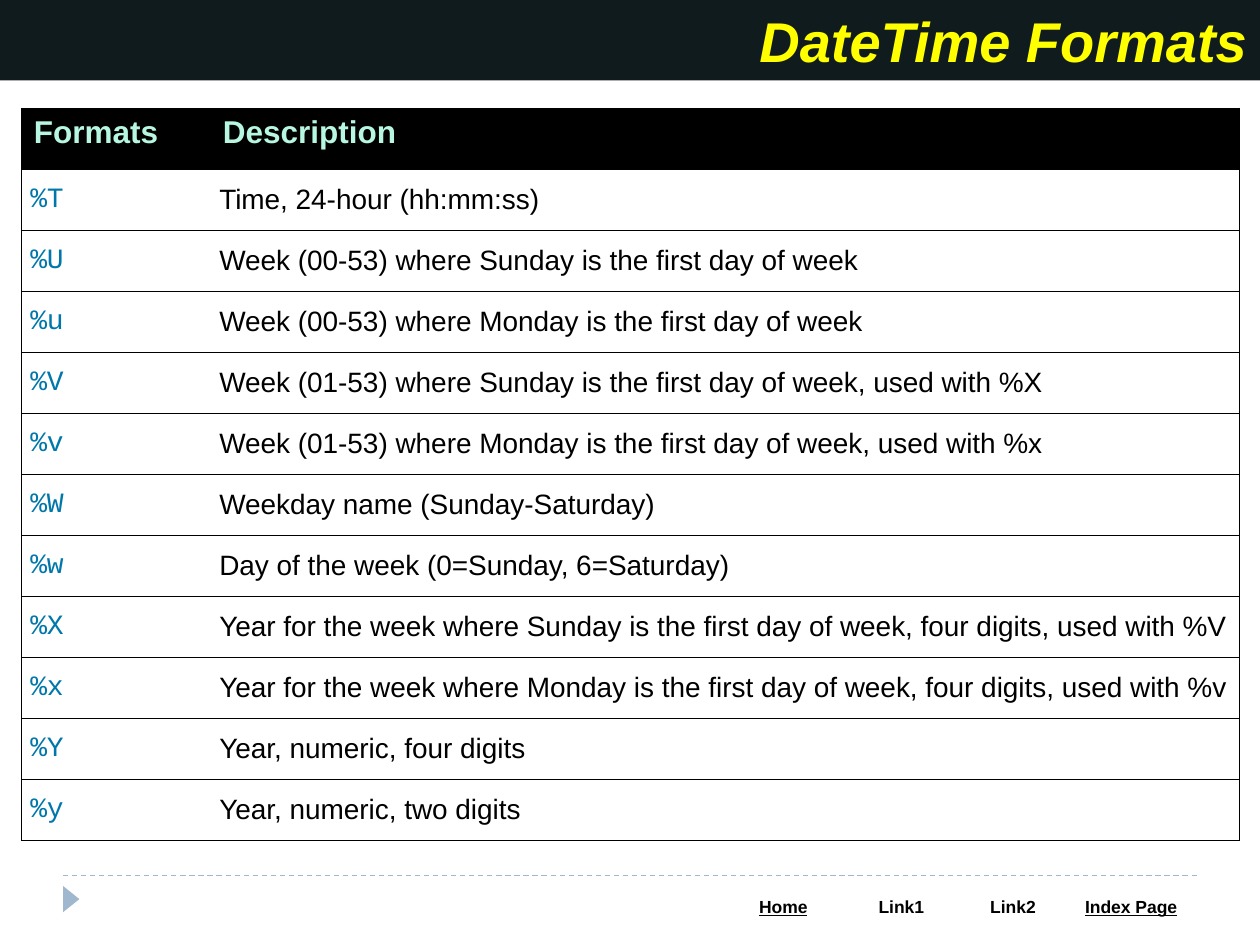
from dataclasses import dataclass

from lxml import etree
from pptx import Presentation
from pptx import util as u
from pptx.dml.color import RGBColor
from pptx.enum import dml, shapes, text
from pptx.oxml import ns

Cm, Pt = u.Cm, u.Pt
BLACK, WHITE = "000000", "FFFFFF"
STEEL = "9FB8CD"


@dataclass
class Look:
    size: float
    color: str
    face: str = "Arial"
    bold: bool = False
    italic: bool = False
    under: bool = False


@dataclass
class Format:
    code: str
    desc: str


@dataclass
class Link:
    label: str
    width: float
    under: bool = False


HEAD = Look(18, "B7F7E2", bold=True)
CODE = Look(16, "0077AA", "Courier New")
DESC = Look(16, BLACK)
TITLE = Look(32, "FFFF00", bold=True, italic=True)

FORMATS = [
    Format("%T", "Time, 24-hour (hh:mm:ss)"),
    Format("%U", "Week (00-53) where Sunday is the first day of week"),
    Format("%u", "Week (00-53) where Monday is the first day of week"),
    Format("%V", "Week (01-53) where Sunday is the first day of week, used with %X"),
    Format("%v", "Week (01-53) where Monday is the first day of week, used with %x"),
    Format("%W", "Weekday name (Sunday-Saturday)"),
    Format("%w", "Day of the week (0=Sunday, 6=Saturday)"),
    Format("%X", "Year for the week where Sunday is the first day of week, "
                 "four digits, used with %V"),
    Format("%x", "Year for the week where Monday is the first day of week, "
                 "four digits, used with %v"),
    Format("%Y", "Year, numeric, four digits"),
    Format("%y", "Year, numeric, two digits"),
]
LINKS = [
    Link("Home", 2.38, True),
    Link("Link1", 2.38),
    Link("Link2", 2.12),
    Link("Index Page", 2.64, True),
]


def paint(item, color: str) -> None:
    """Give a fill or a font one solid colour."""
    if hasattr(item, "solid"):
        item.solid()
        item.fore_color.rgb = RGBColor.from_string(color)
    else:
        item.color.rgb = RGBColor.from_string(color)


def write(frame, words: str, look: Look, align=text.PP_ALIGN.LEFT) -> None:
    frame.text = words
    para = frame.paragraphs[0]
    para.alignment = align
    font = para.runs[0].font
    font.name, font.size = look.face, Pt(look.size)
    font.bold, font.italic, font.underline = look.bold, look.italic, look.under
    paint(font, look.color)


def edge(cell, sides: str) -> None:
    """Draw thin black borders on the named sides and none on the others."""
    props = cell._tc.get_or_add_tcPr()
    for side in "LRTB":
        line = etree.SubElement(props, ns.qn(f"a:ln{side}"), w=str(Pt(0.75)))
        if side in sides:
            fill = etree.SubElement(line, ns.qn("a:solidFill"))
            etree.SubElement(fill, ns.qn("a:srgbClr"), val=BLACK)
        else:
            etree.SubElement(line, ns.qn("a:noFill"))


def add_grid(slide, left: float, top: float, widths: list[float],
             count: int, height: float):
    grid = slide.shapes.add_table(count, len(widths), Cm(left), Cm(top),
                                  Cm(sum(widths)), Cm(count * height)).table
    grid.first_row = grid.horz_banding = False
    for col, width in zip(grid.columns, widths):
        col.width = Cm(width)
    return grid


def add_foot(slide) -> None:
    mark = slide.shapes.add_shape(shapes.MSO_SHAPE.ISOSCELES_TRIANGLE,
                                  Cm(1.17), Cm(17.96), Cm(0.53), Cm(0.33))
    mark.rotation = 90
    mark.shadow.inherit = False
    paint(mark.fill, STEEL)
    mark.line.fill.background()

    rule = slide.shapes.add_connector(shapes.MSO_CONNECTOR.STRAIGHT, Cm(1.27),
                                      Cm(17.65), Cm(24.13), Cm(17.65))
    paint(rule.line.fill, STEEL)
    rule.line.width = Pt(0.75)
    rule.line.dash_style = dml.MSO_LINE.DASH
    etree.SubElement(rule._element.spPr, ns.qn("a:effectLst"))

    grid = add_grid(slide, 14.6, 17.98, [link.width for link in LINKS], 1, 0.68)
    for cell, link in zip(grid.rows[0].cells, LINKS):
        look = Look(10, BLACK, bold=True, under=link.under)
        write(cell.text_frame, link.label, look, text.PP_ALIGN.CENTER)
        edge(cell, "")
        paint(cell.fill, WHITE)


def add_formats(slide) -> None:
    rows = [Format("Formats", "Description")] + FORMATS
    grid = add_grid(slide, 0.43, 2.18, [3.81, 20.75], len(rows), 1.23)
    for num, item in enumerate(rows):
        looks = (CODE, DESC) if num else (HEAD, HEAD)
        parts = zip(grid.rows[num].cells, (item.code, item.desc), looks, "LR")
        for cell, words, look, side in parts:
            write(cell.text_frame, words, look)
            edge(cell, side + "TB")
            paint(cell.fill, WHITE if num else BLACK)
            if num:
                cell.vertical_anchor = text.MSO_ANCHOR.MIDDLE
                cell.margin_left = cell.margin_right = Cm(0.18)
                cell.margin_top = cell.margin_bottom = 0


def add_title(slide) -> None:
    bar = slide.shapes.add_shape(shapes.MSO_SHAPE.RECTANGLE, 0, 0,
                                 Cm(25.4), Cm(1.62))
    bar.shadow.inherit = False
    paint(bar.fill, "101B1D")
    bar.line.fill.background()
    bar.text_frame.word_wrap = True
    bar.text_frame.vertical_anchor = text.MSO_ANCHOR.MIDDLE
    write(bar.text_frame, "DateTime Formats", TITLE, text.PP_ALIGN.RIGHT)


def main() -> None:
    deck = Presentation()
    deck.slide_width, deck.slide_height = Cm(25.4), Cm(19.05)
    slide = deck.slides.add_slide(deck.slide_layouts[6])
    # Footer mark, rule and links
    add_foot(slide)
    # Table of format codes
    add_formats(slide)
    # Title bar
    add_title(slide)
    deck.save("out.pptx")


if __name__ == "__main__":
    main()
